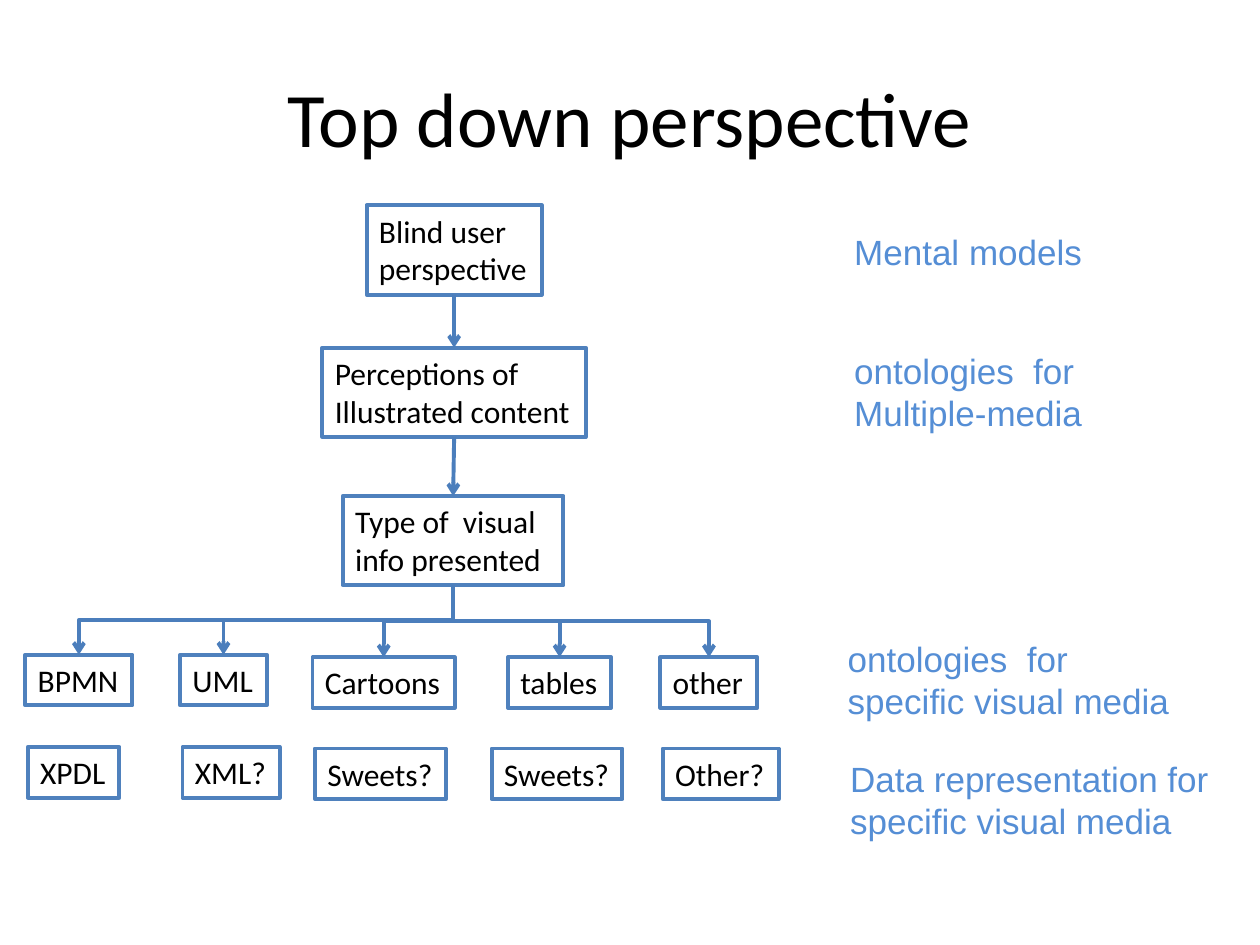
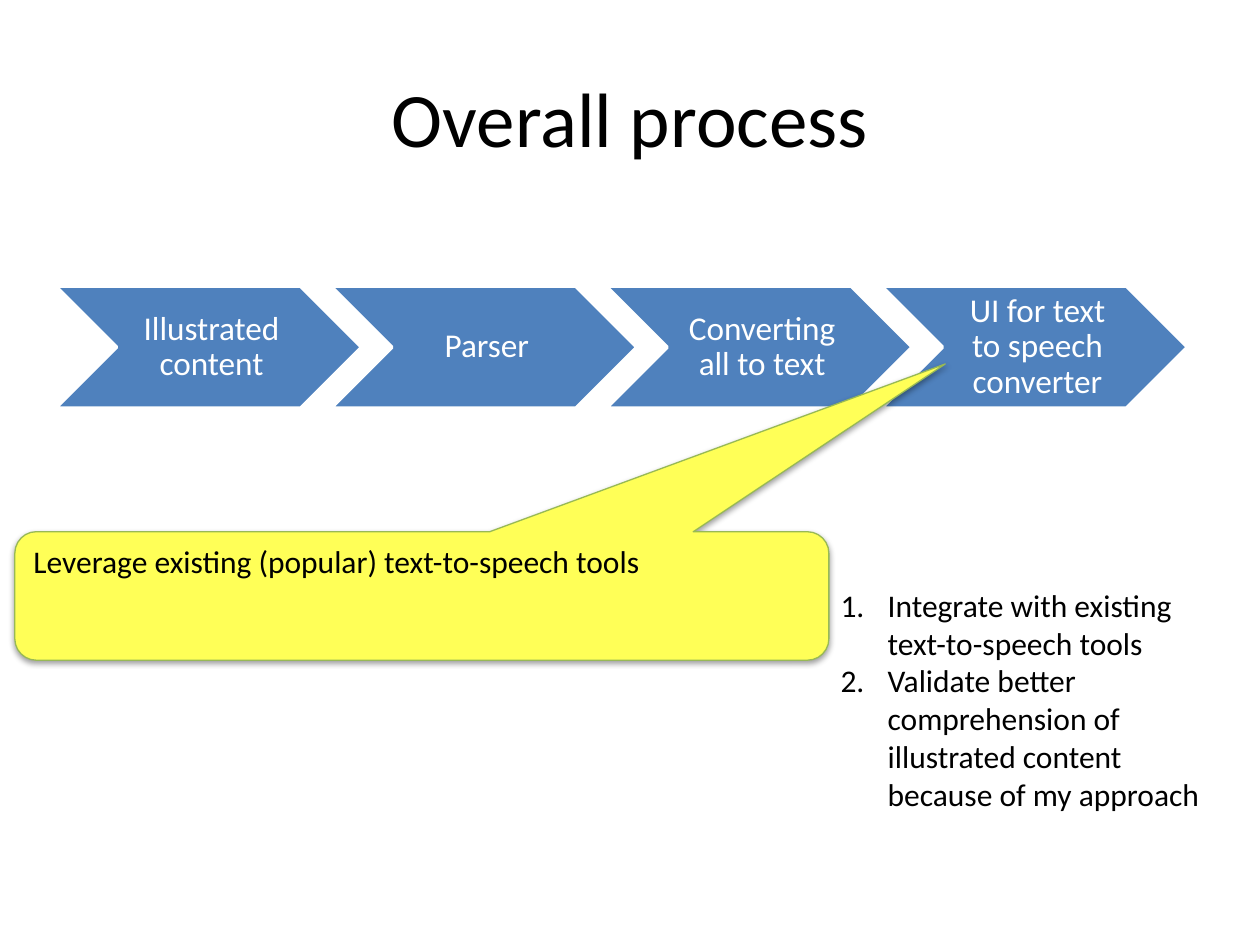
from lxml.etree import SubElement as sub
from pptx import Presentation
from pptx.dml.color import RGBColor as RGB
from pptx.enum.shapes import MSO_CONNECTOR as LINK, MSO_SHAPE as SHAPE
from pptx.enum.text import MSO_ANCHOR as ANCHOR, MSO_AUTO_SIZE as FIT, PP_ALIGN as ALIGN
from pptx.oxml.ns import qn
from pptx.util import Cm, Pt

BLACK = RGB(0x00, 0x00, 0x00)
WHITE = RGB(0xFF, 0xFF, 0xFF)
BLUE = RGB(0x4F, 0x81, 0xBD)
ARROW = RGB(0x4B, 0x7E, 0xBC)
SKY = RGB(0x55, 0x8E, 0xD5)
YELLOW = RGB(0xFF, 0xFF, 0x57)
GREEN = RGB(0x98, 0xB9, 0x55)


def write(frame, text, size=18, tint=BLACK, face="Calibri", align=ALIGN.LEFT):
    """Fill a text frame: | parts paragraphs, a newline breaks a line."""
    for i, part in enumerate(text.split("|")):
        para = frame.add_paragraph() if i else frame.paragraphs[0]
        para.alignment = align
        for j, words in enumerate(part.split("\n")):
            if j:
                para.add_line_break()
            run = para.add_run()
            run.text = words
            run.font.size, run.font.name = Pt(size), face
            run.font.color.rgb = tint


def join(slide, kind, x1, y1, x2, y2):
    """Draw an arrow without shadow between two points and return it."""
    line = slide.shapes.add_connector(kind, Cm(x1), Cm(y1), Cm(x2), Cm(y2))
    line.line.color.rgb, line.line.width = ARROW, Pt(2.25)
    props = line.element.spPr
    sub(props.find(qn("a:ln")), qn("a:tailEnd"), type="arrow")
    sub(props, qn("a:effectLst"))
    return line


deck = Presentation()
deck.slide_width, deck.slide_height = Cm(25.4), Cm(19.05)

pages = []
for name, layout in (("Top down perspective", 5), ("Overall process", 1)):
    page = deck.slides.add_slide(deck.slide_layouts[layout])
    title = page.shapes.title
    title.left, title.top, title.width, title.height = Cm(1.27), Cm(0.76), Cm(22.86), Cm(3.18)
    write(title.text_frame, name, 44, align=ALIGN.CENTER)
    pages.append(page)
tree, flow = pages

# Slide 1: boxes as text, left, top, width, height
TALL, LOW = 1.8, 1.02
trunk = [
    ("Blind user\nperspective", 7.39, 4.14, 3.53, TALL),
    ("Perceptions of |Illustrated content", 6.5, 7.01, 5.31, TALL),
    ("Type of  visual \ninfo presented", 6.91, 10, 4.45, TALL),
]
kinds = [
    ("BPMN", 0.51, 13.2, 2.16, LOW),
    ("UML", 3.63, 13.2, 1.75, LOW),
    ("Cartoons", 6.3, 13.25, 2.87, LOW),
    ("tables", 10.24, 13.25, 2.08, LOW),
    ("other", 13.31, 13.25, 1.96, LOW),
]
forms = [
    ("XPDL", 0.56, 15.06, 1.85, LOW),
    ("XML?", 3.68, 15.06, 1.96, LOW),
    ("Sweets?", 6.35, 15.09, 2.64, LOW),
    ("Sweets?", 9.91, 15.09, 2.64, LOW),
    ("Other?", 13.36, 15.09, 2.34, LOW),
]
notes = [
    ("Mental models", 16.97, 4.52, 5.16, 1.12),
    ("ontologies  for|Multiple-media", 16.97, 6.93, 5.16, 1.96),
    ("ontologies  for|specific visual media", 16.84, 12.73, 7.06, 1.96),
    ("Data representation for|specific visual media", 16.89, 15.14, 7.8, 1.96),
]
for group in (trunk, kinds, forms, notes):
    for text, x, y, w, h in group:
        box = tree.shapes.add_textbox(Cm(x), Cm(y), Cm(w), Cm(h))
        box.text_frame.word_wrap = False
        box.text_frame.auto_size = FIT.SHAPE_TO_FIT_TEXT
        if group is notes:
            write(box.text_frame, text, 20, SKY, "Arial")
        else:
            write(box.text_frame, text)
            box.line.color.rgb, box.line.width = BLUE, Pt(2.25)

for (_, x1, y1, w1, h1), (_, x2, y2, w2, _) in zip(trunk, trunk[1:]):
    join(tree, LINK.STRAIGHT, x1 + w1 / 2, y1 + h1, x2 + w2 / 2, y2)

# An elbow runs sideways first, so each is drawn lying down and then turned
_, x, y, w, h = trunk[-1]
root, base = x + w / 2, y + h
for _, x, y, w, _ in kinds:
    goal = x + w / 2
    mid, level = (root + goal) / 2, (base + y) / 2
    wide, high = (y - base) / 2, abs(goal - root) / 2
    right = goal > root
    if right:
        wide = -wide
    elbow = join(tree, LINK.ELBOW, mid - wide, level - high, mid + wide, level + high)
    turn = 270 if right else 90
    elbow.element.spPr.find(qn("a:xfrm")).set("rot", str(turn * 60000))

# Slide 2: chain of steps
steps = ["Illustrated content", "Parser", "Converting all to text", "UI for text to speech converter"]
for i, text in enumerate(steps):
    step = flow.shapes.add_shape(SHAPE.CHEVRON, Cm(1.12 + 5.55 * i), Cm(5.77), Cm(6.17), Cm(2.46))
    step.shadow.inherit = False
    step.fill.solid()
    step.fill.fore_color.rgb = BLUE
    step.line.color.rgb, step.line.width = WHITE, Pt(2)
    frame = step.text_frame
    frame.word_wrap, frame.vertical_anchor = True, ANCHOR.MIDDLE
    frame.margin_left = Cm(0.2)
    frame.margin_top = frame.margin_right = frame.margin_bottom = Cm(0.08)
    write(frame, text, 19, WHITE, align=ALIGN.CENTER)
    frame.paragraphs[0].line_spacing = 0.9

call = flow.shapes.add_shape(SHAPE.ROUNDED_RECTANGULAR_CALLOUT, Cm(0.3), Cm(10.72), Cm(16.41), Cm(2.59))
for i, value in enumerate((0.643, -1.806, 0.167)):
    call.adjustments[i] = value
call.fill.solid()
call.fill.fore_color.rgb = YELLOW
call.line.color.rgb, call.line.width = GREEN, Pt(0.75)
call.shadow.inherit = False
glow = sub(call.element.spPr.find(qn("a:effectLst")), qn("a:outerShdw"),
           blurRad=str(Pt(3.1)), dist=str(Pt(1.6)), dir="5400000", rotWithShape="0")
shade = sub(glow, qn("a:srgbClr"), val=str(BLACK))
sub(shade, qn("a:alpha"), val="38000")
frame = call.text_frame
frame.word_wrap, frame.vertical_anchor = True, ANCHOR.TOP
frame.margin_top = Cm(0.08)
write(frame, "Leverage existing (popular) text-to-speech tools")

goals = flow.placeholders[1]
goals.left, goals.top, goals.width, goals.height = Cm(16.69), Cm(11.68), Cm(8.2), Cm(6.4)
goals.text_frame.auto_size = FIT.NONE
write(goals.text_frame, "Integrate with existing text-to-speech tools|"
      "Validate better comprehension of illustrated content because of my approach")
for para in goals.text_frame.paragraphs:
    para.space_before = Pt(0)
    props = para._p.get_or_add_pPr()
    props.set("marL", str(Cm(0.95)))
    props.set("indent", str(-Cm(0.95)))
    sub(props, qn("a:buFont"), typeface="+mj-lt")
    sub(props, qn("a:buAutoNum"), type="arabicPeriod")

deck.save("out.pptx")
